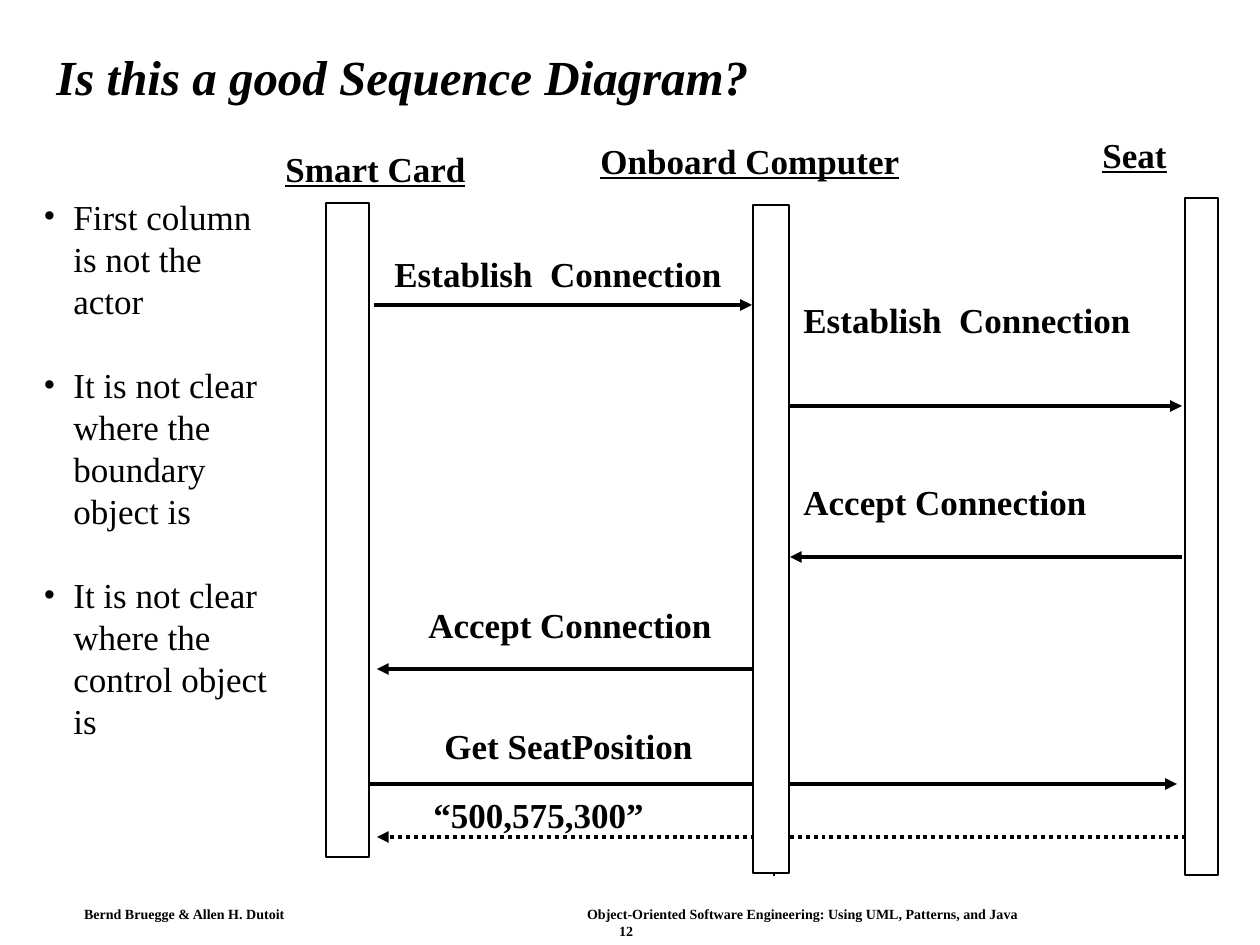
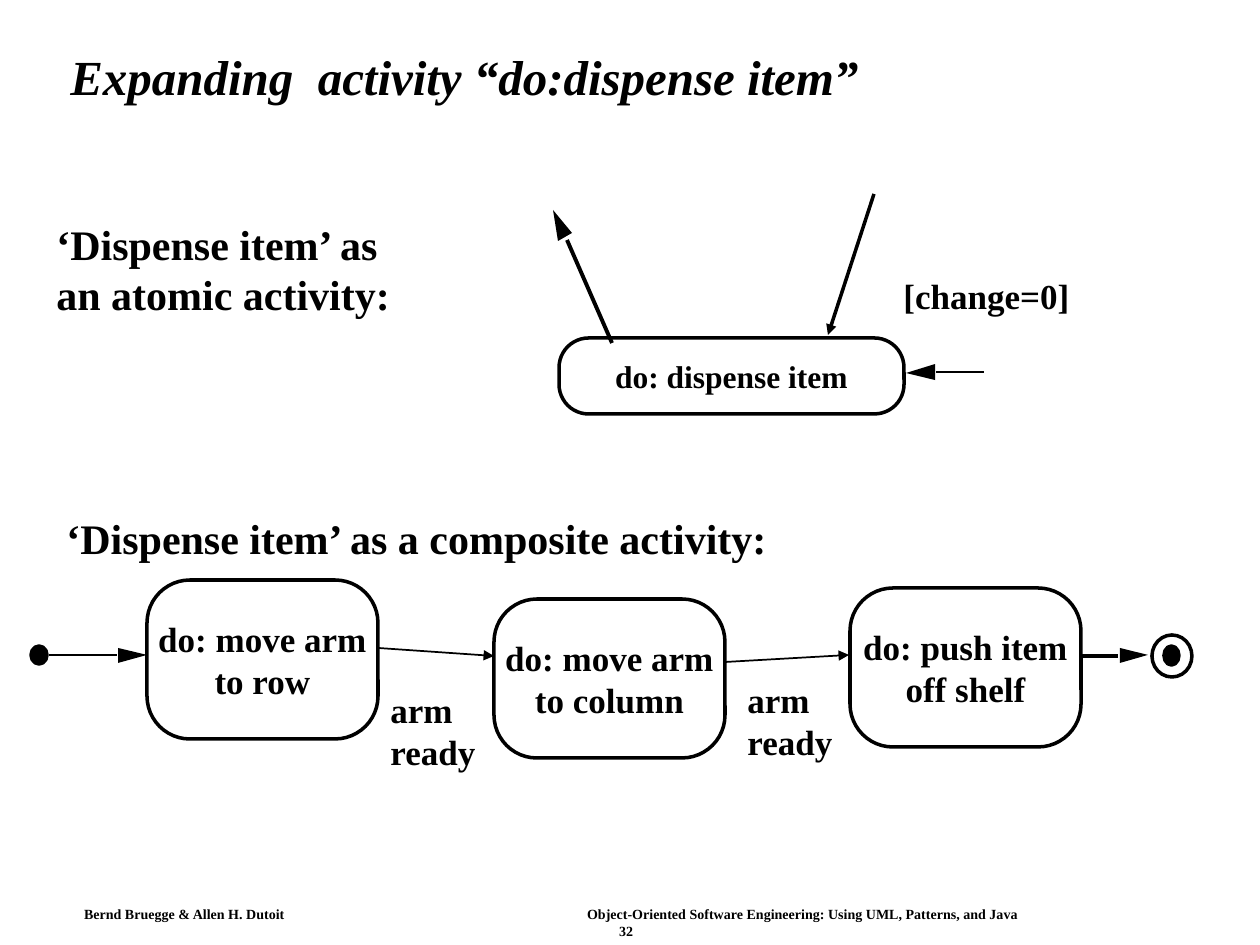
from dataclasses import dataclass

from lxml import etree
from pptx import Presentation
from pptx import util as u
from pptx.dml.color import RGBColor
from pptx.enum import dml, shapes, text
from pptx.oxml import ns

PX = u.Inches(1) / 126


@dataclass(frozen=True)
class Theme:
    font: str = "Times New Roman"
    ink: RGBColor = RGBColor(0, 0, 0)
    paper: RGBColor = RGBColor(255, 255, 255)
    title: int = 28
    heading: int = 24
    body: int = 20
    small: int = 18
    footer: int = 8
    thin: float = 1
    medium: float = 2
    thick: float = 2.25


T = Theme()


def box(s, at, lines=(), size=T.body, kind=None, fill=None, line=T.medium,
        adj=None, **font):
    """Add a wrapping text box, or a preset shape with centred text if kind is given."""
    at = [round(v * PX) for v in at]
    if kind is None:
        sp = s.shapes.add_textbox(*at)
    else:
        sp = s.shapes.add_shape(kind, *at)
        sp.shadow.inherit = False
        sp.line.color.rgb = T.ink
        sp.line.width = u.Pt(line)
        if fill is None:
            sp.fill.background()
        else:
            sp.fill.solid()
            sp.fill.fore_color.rgb = fill
        if adj is not None:
            sp.adjustments[0] = adj
    tf = sp.text_frame
    tf.word_wrap = kind is None
    for i, words in enumerate(lines):
        p = tf.paragraphs[0] if i == 0 else tf.add_paragraph()
        p.alignment = text.PP_ALIGN.CENTER if kind else text.PP_ALIGN.LEFT
        r = p.add_run()
        r.text = words
        r.font.name, r.font.size, r.font.color.rgb = T.font, u.Pt(size), T.ink
        for name, value in {"bold": True, **font}.items():
            setattr(r.font, name, value)
    return sp


def connect(s, ends, width=T.thick, head=True, dash=None):
    c = s.shapes.add_connector(shapes.MSO_CONNECTOR.STRAIGHT, *[round(v * PX) for v in ends])
    c.line.color.rgb = T.ink
    c.line.width = u.Pt(width)
    if dash:
        c.line.dash_style = dash
    if head:
        etree.SubElement(c.line._get_or_add_ln(), ns.qn("a:tailEnd"), type="triangle")
    etree.SubElement(c._element.spPr, ns.qn("a:effectLst"))


prs = Presentation()
prs.slide_width, prs.slide_height = u.Inches(10), u.Inches(7.5)

# Title and footer of every slide
for title, left, number in [
    ("Is this a good Sequence Diagram?", 44, "12"),
    ("Expanding  activity “do:dispense item”", 58, "32"),
]:
    s = prs.slides.add_slide(prs.slide_layouts[6])
    tf = box(s, (left, 21, 1124, 118), [title], T.title, italic=True).text_frame
    tf.vertical_anchor = text.MSO_ANCHOR.MIDDLE
    tf.paragraphs[0].line_spacing = 0.9

    footer = [
        "Bernd Bruegge & Allen H. Dutoit\t"
        "Object-Oriented Software Engineering: Using UML, Patterns, and Java",
        "\t" + number,
    ]
    tf = box(s, (74, 901, 1090, 40), footer, T.footer).text_frame
    tf.margin_left, tf.margin_top = round(10 * PX), round(5 * PX)
    for p, stop in zip(tf.paragraphs, (503, 535)):
        tabs = etree.SubElement(p._p.get_or_add_pPr(), ns.qn("a:tabLst"))
        etree.SubElement(tabs, ns.qn("a:tab"), pos=str(round(stop * PX)), algn="l")

sequence, activity = prs.slides

# Sequence diagram: messages run from the first point to the second
s = sequence
connect(s, (774, 210, 774, 876), T.thin, head=False)
for x1, x2, y in [
    (374, 752, 305),
    (776, 1182, 406),
    (1182, 790, 557),
    (774, 377, 669),
    (368, 1177, 784),
]:
    connect(s, (x1, y, x2, y))
connect(s, (1186, 837, 377, 837), dash=dml.MSO_LINE.ROUND_DOT)

for name, x, y, w in [
    ("Smart Card", 273, 141, 220),
    ("Onboard Computer", 588, 133, 357),
    ("Seat", 1090, 127, 110),
]:
    box(s, (x, y, w, 54), [name], underline=True)

for message, x, y, w in [
    ("Establish  Connection", 382, 246, 368),
    ("Establish  Connection", 791, 292, 368),
    ("Accept Connection", 791, 474, 325),
    ("Accept Connection", 416, 597, 325),
    ("Get SeatPosition", 432, 718, 330),
    ("“500,575,300”", 421, 787, 330),
]:
    box(s, (x, y, w, 54), [message])

for lifeline in [(326, 203, 43, 654), (753, 205, 36, 668), (1185, 198, 33, 677)]:
    box(s, lifeline, kind=shapes.MSO_SHAPE.RECTANGLE, fill=T.paper, line=T.thin)

remarks = [
    "First column is not the actor",
    "It is not clear where the boundary object is",
    "It is not clear where the control object is",
]
tf = box(s, (31, 189, 252, 475), remarks, bold=False).text_frame
for i, p in enumerate(tf.paragraphs):
    if i:
        p.space_before = u.Pt(24)
    pPr = p._p.get_or_add_pPr()
    pPr.set("marL", str(round(30 * PX)))
    pPr.set("indent", str(round(-30 * PX)))
    etree.SubElement(pPr, ns.qn("a:buFont"), typeface=T.font)
    etree.SubElement(pPr, ns.qn("a:buChar"), char="•")

# Activity diagram
s = activity
box(s, (44, 212, 380, 113), ["‘Dispense item’ as", "an atomic activity:"], T.heading)
box(s, (54, 506, 750, 63), ["‘Dispense item’ as a composite activity:"], T.heading)
box(s, (891, 268, 210, 54), ["[change=0]"])
for x, y in [(378, 682), (735, 672)]:
    box(s, (x, y, 114, 96), ["arm", "ready"])

rounded = shapes.MSO_SHAPE.ROUNDED_RECTANGLE
box(s, (559, 338, 345, 76), ["do: dispense item"], T.small, rounded, adj=0.39)
for x, y, lines in [
    (147, 580, ["do: move arm", "to row"]),
    (494, 599, ["do: move arm", "to column"]),
    (850, 588, ["do: push item", "off shelf"]),
]:
    box(s, (x, y, 231, 159), lines, kind=rounded, adj=0.27)

for ends, width in [
    ((874, 194, 828, 335), T.medium),
    ((378, 648, 494, 656), T.thin),
    ((725, 662, 849, 655), T.thin),
]:
    connect(s, ends, width)

# Transitions with a long, narrow arrowhead: shaft, width, corners of the head
for shaft, width, head in [
    ((49, 655, 117, 655), T.thin, [(118, 648), (147, 655), (118, 663)]),
    ((1082, 656, 1118, 656), T.thick, [(1120, 648), (1148, 655), (1120, 663)]),
    ((984, 372, 936, 372), T.thin, [(935, 364), (906, 373), (935, 380)]),
    ((612, 343, 567, 240), T.thick, [(558, 241), (553, 210), (572, 233)]),
]:
    connect(s, shaft, width, head=False)
    outline = s.shapes.build_freeform(*head[0], scale=PX)
    outline.add_line_segments(head[1:], close=True)
    sp = outline.convert_to_shape()
    sp.shadow.inherit = False
    sp.fill.solid()
    sp.fill.fore_color.rgb = T.ink
    sp.line.fill.background()

start, end_ring, end_dot = (31, 646, 16, 18), (1152, 635, 40, 42), (1164, 646, 15, 19)
for at, fill in [(start, T.ink), (end_ring, None), (end_dot, T.ink)]:
    box(s, at, kind=shapes.MSO_SHAPE.OVAL, fill=fill)

prs.save("out.pptx")
